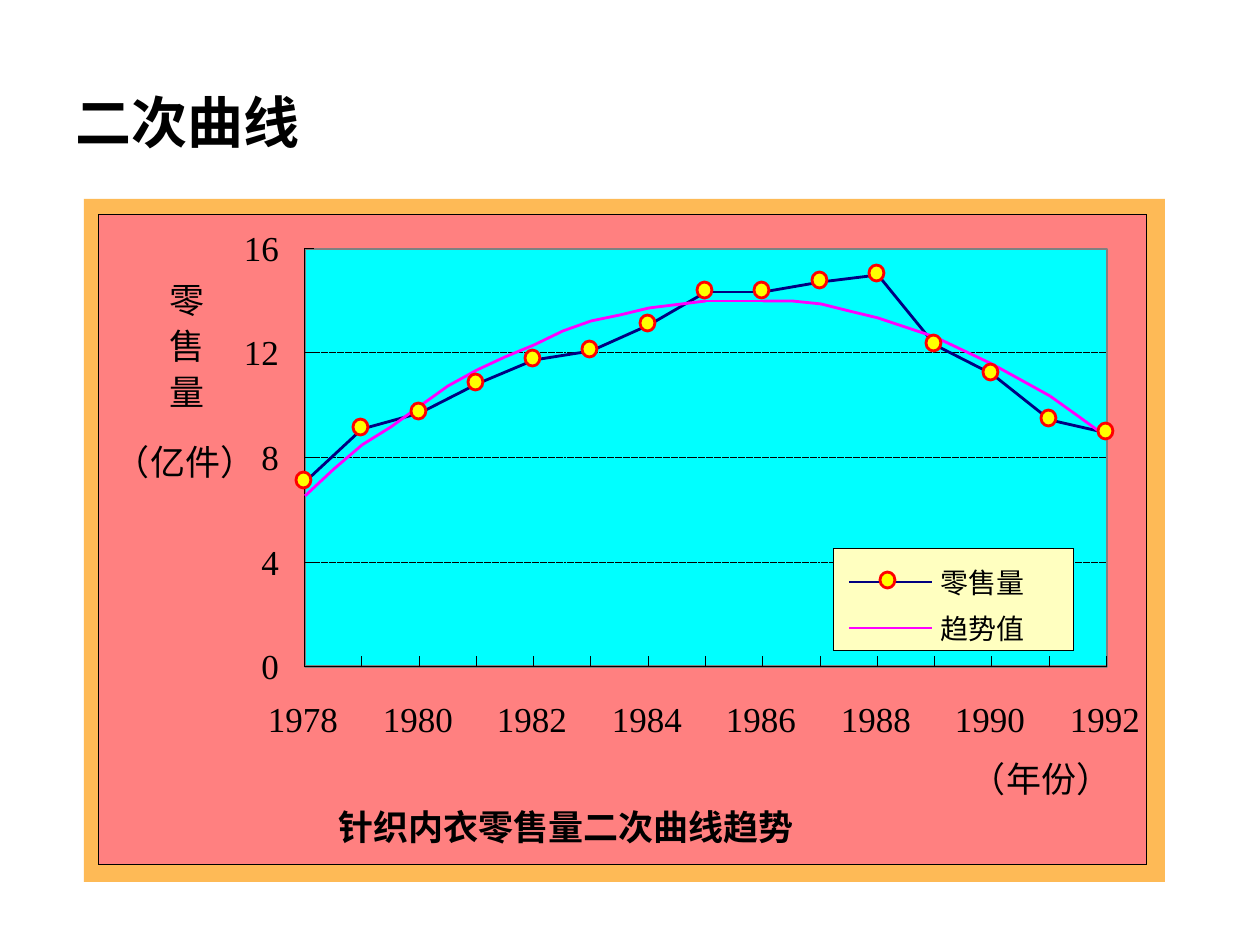
from dataclasses import dataclass
from itertools import pairwise

from lxml.etree import SubElement
from pptx import Presentation
from pptx.dml.color import RGBColor
from pptx.enum.dml import MSO_LINE
from pptx.enum.shapes import MSO_CONNECTOR, MSO_SHAPE
from pptx.enum.text import MSO_ANCHOR, MSO_AUTO_SIZE, PP_ALIGN
from pptx.oxml.ns import qn
from pptx.util import Pt

SCALE = 914400 / 126  # EMU in one px
LATIN, CHINESE = "Times New Roman", "Noto Sans CJK SC"
BLACK, NAVY, MAGENTA, YELLOW, RED = "000000", "000080", "FF00FF", "FFFF00", "FF0000"
HAIRLINE, THICK = 0.01, 1.62

# Plot area, value scale and year scale
LEFT, TOP, WIDTH, HEIGHT = 305, 249, 802, 418
RIGHT, BOTTOM = LEFT + WIDTH, TOP + HEIGHT
MAXIMUM, STEP = 16, 4
FIRST_YEAR, LAST_YEAR = 1978, 1992
SALES = [7.08, 9.11, 9.73, 10.84, 11.76, 12.1, 13.11, 14.36, 14.36, 14.75,
         14.99, 12.34, 11.23, 9.45, 8.96]
# One list for each year's stretch of the curve, from its start
TREND = [[6.55, 7.57], [8.48, 9.2], [9.98, 10.75], [11.37, 11.86],
         [12.34, 12.87], [13.25, 13.49], [13.73], [14.02], [14, 14.02],
         [13.88, 13.64], [13.35], [12.63], [11.61], [10.36, 9.59], [8.82]]


@dataclass
class Panel:
    left: int
    top: int
    width: int
    height: int
    fill: str | None = None
    line: str | None = None
    weight: float = HAIRLINE
    kind: MSO_SHAPE = MSO_SHAPE.RECTANGLE


@dataclass
class Label:
    text: str
    left: int
    top: int
    width: int
    size: int = 20
    font: str = CHINESE
    bold: bool = False
    align: PP_ALIGN = PP_ALIGN.LEFT


def px(length: float) -> int:
    return round(length * SCALE)


def color(value: str) -> RGBColor:
    return RGBColor.from_string(value)


def year_x(year: float) -> int:
    return LEFT + round((year - FIRST_YEAR) * WIDTH / (LAST_YEAR - FIRST_YEAR))


def value_y(value: float) -> int:
    return BOTTOM - round(value * HEIGHT / MAXIMUM)


def format_line(line, value: str, weight: float) -> None:
    line.color.rgb = color(value)
    line.width = Pt(weight)


def draw_panel(shapes, panel: Panel) -> None:
    shape = shapes.add_shape(panel.kind, px(panel.left), px(panel.top),
                             px(panel.width), px(panel.height))
    shape.shadow.inherit = False
    if panel.fill:
        shape.fill.solid()
        shape.fill.fore_color.rgb = color(panel.fill)
    else:
        shape.fill.background()
    if panel.line:
        format_line(shape.line, panel.line, panel.weight)
    else:
        shape.line.fill.background()


def draw_line(shapes, points: list[tuple[int, int]], value: str = BLACK,
              weight: float = HAIRLINE, dash: MSO_LINE | None = None) -> None:
    """Draw a connector through two points, or an open outline through more."""
    if len(points) == 2:
        ends = [px(length) for point in points for length in point]
        shape = shapes.add_connector(MSO_CONNECTOR.STRAIGHT, *ends)
        SubElement(shape._element.spPr, qn("a:effectLst"))
    else:
        builder = shapes.build_freeform(*points[0], scale=SCALE)
        builder.add_line_segments(points[1:], close=False)
        shape = builder.convert_to_shape()
        shape.shadow.inherit = False
        shape.fill.background()
    format_line(shape.line, value, weight)
    if dash:
        shape.line.dash_style = dash


def draw_marker(shapes, x: int, y: int) -> None:
    draw_panel(shapes, Panel(x - 9, y - 10, 15, 16, YELLOW, RED, THICK, MSO_SHAPE.OVAL))


def write_text(frame, text: str, size: int, font: str, bold: bool, align: PP_ALIGN) -> None:
    paragraph = frame.paragraphs[0]
    paragraph.alignment = align
    run = paragraph.add_run()
    run.text = text
    for name, value in {"size": Pt(size), "bold": bold, "name": font}.items():
        setattr(run.font, name, value)
    run.font.color.rgb = color(BLACK)
    east_asian = SubElement(run._r.get_or_add_rPr(), qn("a:ea"))
    east_asian.set("typeface", CHINESE)


def draw_label(shapes, label: Label) -> None:
    box = shapes.add_textbox(px(label.left), px(label.top), px(label.width),
                             px(label.size * 2.1))
    frame = box.text_frame
    settings = {"margin_left": 0, "margin_right": 0, "margin_top": 0, "margin_bottom": 0,
                "word_wrap": False, "auto_size": MSO_AUTO_SIZE.SHAPE_TO_FIT_TEXT}
    for name, value in settings.items():
        setattr(frame, name, value)
    write_text(frame, label.text, label.size, label.font, label.bold, label.align)


def draw_axes(shapes) -> None:
    values = range(0, MAXIMUM + 1, STEP)
    for value in values[1:]:
        y = value_y(value)
        draw_line(shapes, [(LEFT, y), (RIGHT, y)], dash=MSO_LINE.ROUND_DOT)
    draw_panel(shapes, Panel(LEFT, TOP, WIDTH, HEIGHT, line="808080", weight=THICK))
    draw_line(shapes, [(LEFT, TOP), (LEFT, BOTTOM)])
    draw_line(shapes, [(LEFT, BOTTOM), (RIGHT, BOTTOM)])
    for value in values:
        y, width = value_y(value), 18 * len(str(value))
        draw_line(shapes, [(LEFT, y), (LEFT + 9, y)])
        draw_label(shapes, Label(str(value), 279 - width, y - 23, width,
                                 font=LATIN, align=PP_ALIGN.RIGHT))
    for year in range(FIRST_YEAR, LAST_YEAR + 1):
        x = year_x(year)
        draw_line(shapes, [(x, BOTTOM), (x, BOTTOM - 10)])
        if year % 2 == 0:
            draw_label(shapes, Label(str(year), x - 39, 697, 74,
                                     font=LATIN, align=PP_ALIGN.CENTER))


def draw_series(shapes) -> None:
    sales = [(year_x(FIRST_YEAR + i), value_y(value)) for i, value in enumerate(SALES)]
    for segment in pairwise(sales):
        draw_line(shapes, list(segment), NAVY, THICK)
    for i, (values, following) in enumerate(pairwise(TREND)):
        stretch = [*values, following[0]]
        points = [(year_x(FIRST_YEAR + i + j / len(values)), value_y(value))
                  for j, value in enumerate(stretch)]
        draw_line(shapes, points, MAGENTA, THICK)
    for x, y in sales:
        draw_marker(shapes, x, y)


def draw_legend(shapes) -> None:
    draw_panel(shapes, Panel(834, 549, 240, 102, "FFFFC0", BLACK))
    for i, (name, value) in enumerate([("零售量", NAVY), ("趋势值", MAGENTA)]):
        y = 582 + 46 * i
        draw_line(shapes, [(849, y), (932, y)], value, THICK)
        draw_label(shapes, Label(name, 941, y - 16, 86, 16))
    draw_marker(shapes, 889, 582)


def main() -> None:
    presentation = Presentation()
    presentation.slide_width, presentation.slide_height = px(1260), px(945)
    slide = presentation.slides.add_slide(presentation.slide_layouts[5])

    # Title
    title = slide.shapes.title
    for name, length in {"left": 63, "top": 63, "width": 1134, "height": 116}.items():
        setattr(title, name, px(length))
    title.text_frame.vertical_anchor = MSO_ANCHOR.MIDDLE
    write_text(title.text_frame, "二次曲线", 32, "Arial", True, PP_ALIGN.LEFT)

    # Frame and plot background
    shapes = slide.shapes.add_group_shape().shapes
    draw_panel(shapes, Panel(84, 199, 1081, 683, "FEBA56"))
    draw_panel(shapes, Panel(99, 215, 1048, 650, "FF8080", BLACK))
    draw_panel(shapes, Panel(LEFT, TOP, WIDTH, HEIGHT, "00FFFF"))

    draw_axes(shapes)
    draw_series(shapes)
    draw_legend(shapes)

    # Axis names and caption
    for i, character in enumerate("零售量"):
        draw_label(shapes, Label(character, 170, 278 + 46 * i, 36))
    draw_label(shapes, Label("（亿件）", 115, 440, 144))
    draw_label(shapes, Label("（年份）", 971, 757, 144))
    draw_label(shapes, Label("针织内衣零售量二次曲线趋势", 338, 805, 460, bold=True))

    presentation.save("out.pptx")


if __name__ == "__main__":
    main()
